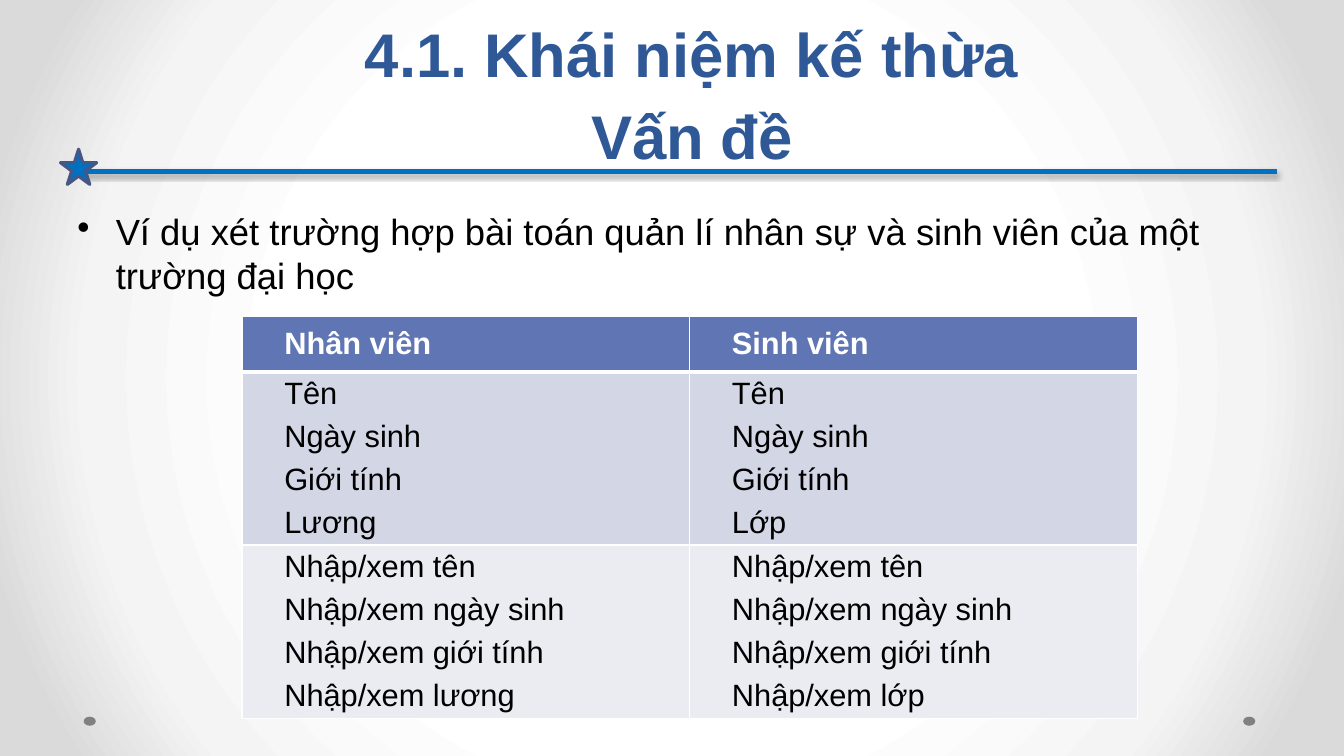
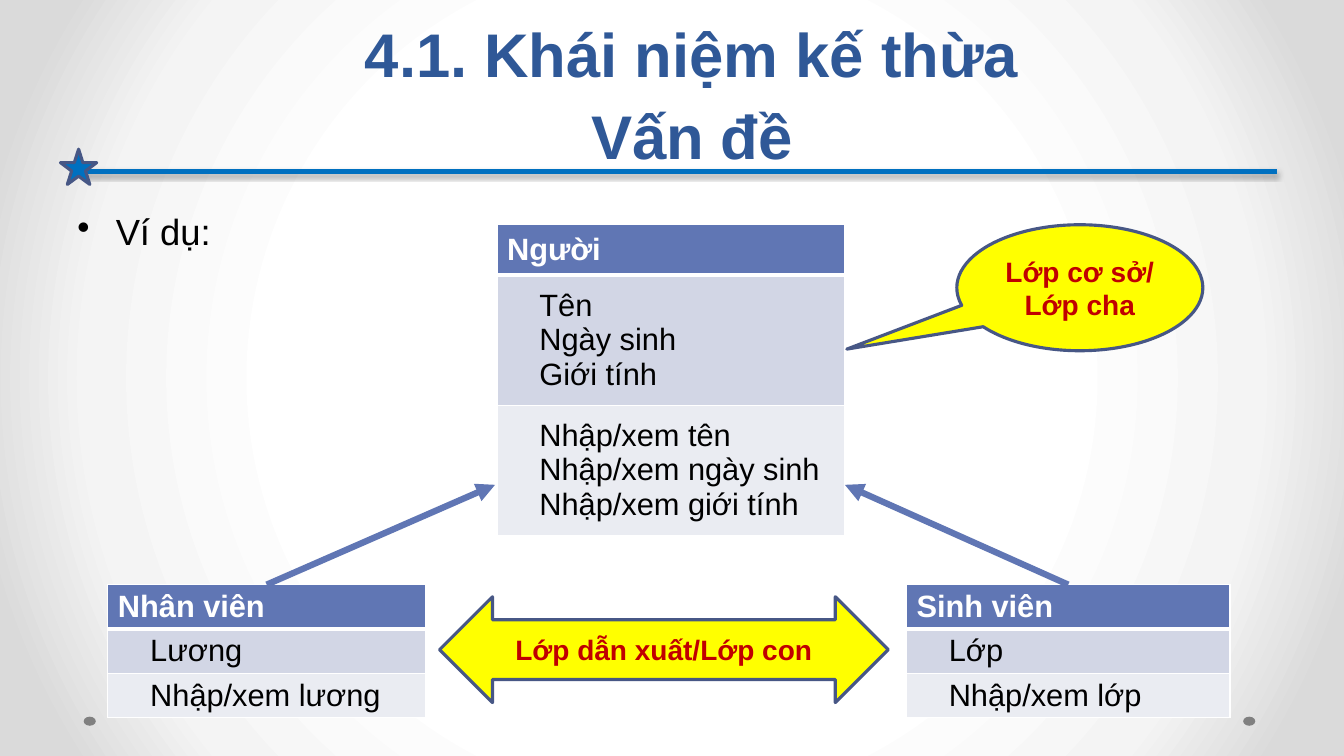
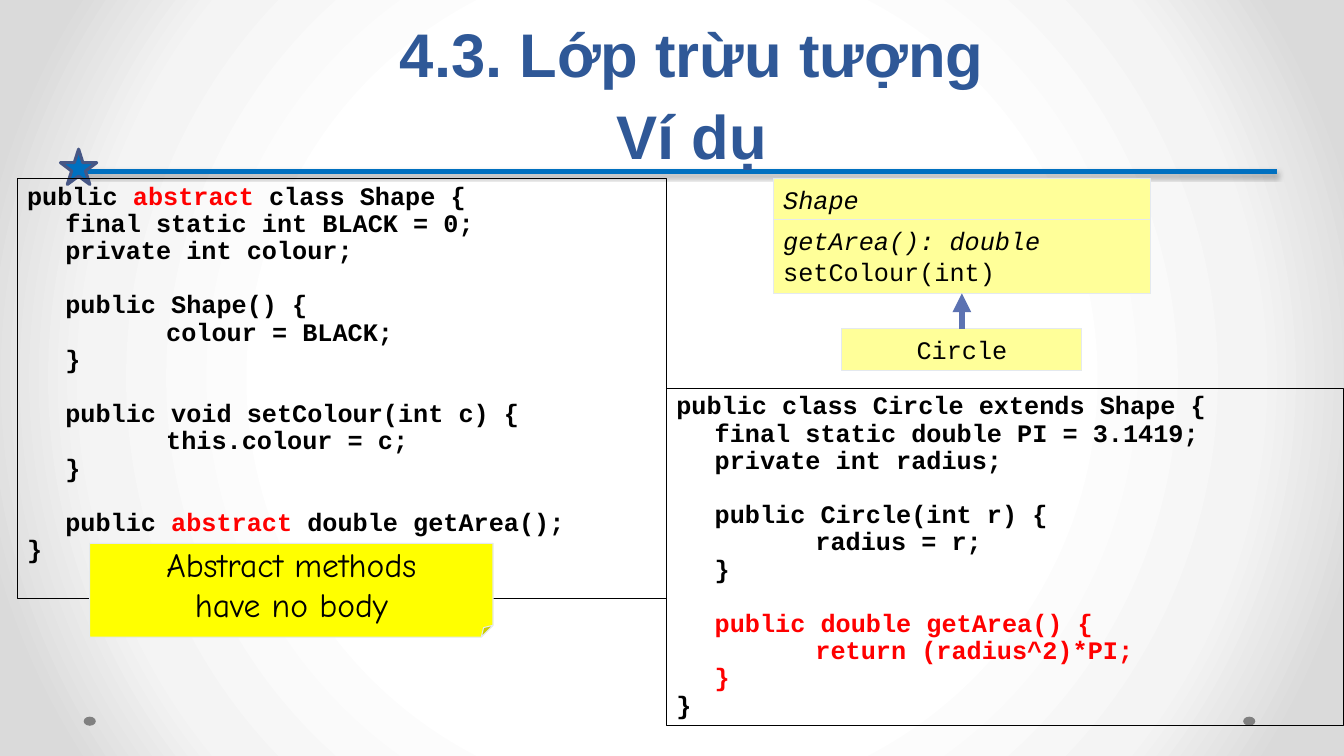
from lxml import etree
from pptx import Presentation
from pptx import util as u
from pptx.dml.color import RGBColor
from pptx.enum import shapes, text
from pptx.oxml import parse_xml
from pptx.oxml.ns import nsdecls, qn

Inches, Pt = u.Inches, u.Pt
Shape, Anchor, Align = shapes.MSO_SHAPE, text.MSO_ANCHOR, text.PP_ALIGN

BLACK, WHITE, RED, DARK_RED = "000000", "FFFFFF", "FF0000", "C00000"
BLUE, NAVY, OUTLINE = "0070C0", "2F5897", "475785"
HEADER, BAND_DARK, BAND_LIGHT = "6076B4", "D2D6E5", "EAECF2"
YELLOW, PALE_YELLOW, PALE_LINE = "FFFF00", "FFFF99", "E4E9EF"
BACKGROUND_STOPS = [(50, WHITE), (76, "F4F4F4"), (92, "DADADA")]

TITLE = {"name": "Arial", "size": Pt(44), "bold": True, "color": NAVY}
BODY = {"name": "Arial", "size": Pt(26), "color": BLACK}
CELL = {"name": "Arial", "size": Pt(22), "bold": False, "color": BLACK}
CELL_HEADER = {**CELL, "bold": True, "color": WHITE}
CALLOUT = {"name": "Arial", "size": Pt(20), "bold": True, "color": DARK_RED}
CODE = {"name": "Courier New", "size": Pt(18), "bold": True, "color": BLACK}
UML = {**CODE, "bold": False}
UML_ABSTRACT = {**UML, "italic": True}
NOTE = {"name": "Comic Neue", "size": Pt(24), "color": BLACK}

CODE_INDENTS = [0, 0.38, 1.38]
CELL_INDENT = 0.32


def rgb(value):
    return RGBColor.from_string(value)


def add_paragraph(frame, runs, font, left=0, hanging=0, **layout):
    """Write one paragraph; a run is a text or a (text, colour) pair."""
    paragraph = frame.paragraphs[0]
    if paragraph.runs:
        paragraph = frame.add_paragraph()
    for name, value in layout.items():
        setattr(paragraph, name, value)
    properties = paragraph._p.get_or_add_pPr()
    properties.set("marL", str(Inches(left)))
    properties.set("indent", str(Inches(-hanging)))
    for item in runs:
        content, color = (item, font["color"]) if isinstance(item, str) else item
        run = paragraph.add_run()
        run.text = content
        for name, value in font.items():
            if name != "color":
                setattr(run.font, name, value)
        run.font.color.rgb = rgb(color)
    return paragraph


def add_text_box(slide, box, anchor=Anchor.TOP):
    frame = slide.shapes.add_textbox(*map(Inches, box)).text_frame
    frame.word_wrap = True
    frame.vertical_anchor = anchor
    return frame


def add_box(slide, kind, box, fill=None, line=None, width=0.75,
            adjustments=(), anchor=Anchor.MIDDLE, wrap=True):
    shape = slide.shapes.add_shape(kind, *map(Inches, box))
    shape.shadow.inherit = False
    for index, value in enumerate(adjustments):
        shape.adjustments[index] = value
    if fill:
        shape.fill.solid()
        shape.fill.fore_color.rgb = rgb(fill)
    else:
        shape.fill.background()
    if line:
        shape.line.color.rgb = rgb(line)
        shape.line.width = Pt(width)
    else:
        shape.line.fill.background()
    shape.text_frame.vertical_anchor = anchor
    shape.text_frame.word_wrap = wrap
    return shape


def set_fold(shape, ratio):
    """Set the fold of a folded corner, which has no public adjustment."""
    values = shape._element.find(".//" + qn("a:avLst"))
    guide = etree.SubElement(values, qn("a:gd"))
    guide.set("name", "adj")
    guide.set("fmla", f"val {round(ratio * 100000)}")


def add_line(slide, start, end, color, width, arrow=False):
    """Draw a straight line and return it with its empty effect list."""
    line = slide.shapes.add_connector(
        shapes.MSO_CONNECTOR.STRAIGHT, *map(Inches, (*start, *end)))
    line.line.color.rgb = rgb(color)
    line.line.width = Pt(width)
    if arrow:
        tail = etree.SubElement(line.line._get_or_add_ln(), qn("a:tailEnd"))
        tail.set("type", "triangle")
    effects = etree.SubElement(line._element.spPr, qn("a:effectLst"))
    return line, effects


def set_background(slide):
    slide.background.fill.solid()
    properties = slide.element.find(".//" + qn("p:bgPr"))
    stops = "".join(
        f'<a:gs pos="{position * 1000}"><a:srgbClr val="{color}"/></a:gs>'
        for position, color in BACKGROUND_STOPS)
    properties.replace(properties[0], parse_xml(
        f'<a:gradFill {nsdecls("a")} rotWithShape="1"><a:gsLst>{stops}</a:gsLst>'
        '<a:path path="circle"><a:fillToRect l="50000" t="50000" r="50000" b="50000"/>'
        '</a:path></a:gradFill>'))


def add_framed_slide(presentation, *title_lines):
    """Add a slide with the shared background, rule, star, dots and title."""
    slide = presentation.slides.add_slide(presentation.slide_layouts[6])
    set_background(slide)
    for left in (12.33, 0.83):
        add_box(slide, Shape.OVAL, (left, 7.11, 0.12, 0.09), "808080")
    rule, effects = add_line(slide, (0.84, 1.7), (12.67, 1.7), BLUE, 4)
    effects.append(parse_xml(
        f'<a:outerShdw {nsdecls("a")} blurRad="{Pt(3.1)}" dist="{Pt(1.8)}" dir="5400000">'
        f'<a:srgbClr val="{BLACK}"><a:alpha val="35000"/></a:srgbClr></a:outerShdw>'))
    add_box(slide, Shape.STAR_5_POINT, (0.6, 1.48, 0.36, 0.35), BLUE, OUTLINE, 2.25)
    title = add_text_box(slide, (1.08, 0.19, 11.57, 1.56), Anchor.BOTTOM)
    for line in title_lines:
        add_paragraph(title, [line], TITLE, alignment=Align.CENTER, line_spacing=Pt(58))
    return slide


def add_bullet(slide, content):
    frame = add_text_box(slide, (0.67, 2.03, 12, 5.06))
    paragraph = add_paragraph(frame, [content], BODY, 0.38, 0.38, space_before=Pt(5.2))
    bullet = etree.SubElement(paragraph._p.get_or_add_pPr(), qn("a:buChar"))
    bullet.set("char", "•")


def set_borders(cell, row):
    properties = cell._tc.get_or_add_tcPr()
    thick_side = {0: "lnB", 1: "lnT"}.get(row)
    for side in ("lnL", "lnR", "lnT", "lnB"):
        width = Pt(3 if side == thick_side else 1)
        properties.append(parse_xml(
            f'<a:{side} {nsdecls("a")} w="{width}"><a:solidFill>'
            f'<a:srgbClr val="{WHITE}"/></a:solidFill></a:{side}>'))


def add_class_table(slide, corner, column_width, heights, rows, header_indent=0, gap=6):
    """Each row is a list of cells, each cell a list of lines."""
    columns = len(rows[0])
    size = (column_width * columns, sum(heights))
    frame = slide.shapes.add_table(len(rows), columns, *map(Inches, (*corner, *size)))
    table = frame.table
    table.horz_banding = False
    for column in table.columns:
        column.width = Inches(column_width)
    for row, (cells, height) in enumerate(zip(rows, heights)):
        table.rows[row].height = Inches(height)
        for column, lines in enumerate(cells):
            cell = table.cell(row, column)
            set_borders(cell, row)
            cell.fill.solid()
            cell.fill.fore_color.rgb = rgb((HEADER, BAND_DARK, BAND_LIGHT)[row])
            cell.vertical_anchor = Anchor.MIDDLE
            cell.margin_top = cell.margin_bottom = 0
            for line in lines:
                add_paragraph(
                    cell.text_frame, [line], CELL if row else CELL_HEADER,
                    CELL_INDENT if row else header_indent,
                    space_before=Pt(gap if row else 6))
    return frame


def add_code(slide, box, blocks):
    """Blocks of (level, run, ...) lines, with one line's height between blocks."""
    shape = add_box(slide, Shape.RECTANGLE, box, line=BLACK, anchor=Anchor.TOP)
    for block_index, block in enumerate(blocks):
        for line_index, (level, *runs) in enumerate(block):
            starts_block = block_index > 0 and line_index == 0
            add_paragraph(
                shape.text_frame, runs, CODE, CODE_INDENTS[level],
                alignment=Align.LEFT, line_spacing=0.9,
                space_before=Pt(19.4 if starts_block else 0))


def add_label(slide, kind, box, lines, fill, line, width=0.75,
              alignment=Align.CENTER, **options):
    """Add a filled shape whose lines are (text, font) pairs."""
    shape = add_box(slide, kind, box, fill, line, width, **options)
    for content, font in lines:
        add_paragraph(shape.text_frame, [content], font, alignment=alignment)
    return shape


def build_problem_slide(presentation):
    slide = add_framed_slide(presentation, "4.1. Khái niệm kế thừa", "Vấn đề")
    add_bullet(slide, "Ví dụ xét trường hợp bài toán quản lí nhân sự và sinh viên "
                      "của một trường đại học")
    fields = ["Tên", "Ngày sinh", "Giới tính"]
    methods = ["Nhập/xem tên", "Nhập/xem ngày sinh", "Nhập/xem giới tính"]
    add_class_table(slide, (2.4, 3.14), 4.44, [0.55, 1.71, 1.71], [
        [["Nhân viên"], ["Sinh viên"]],
        [fields + ["Lương"], fields + ["Lớp"]],
        [methods + ["Nhập/xem lương"], methods + ["Nhập/xem lớp"]],
    ], header_indent=CELL_INDENT)


def build_hierarchy_slide(presentation):
    slide = add_framed_slide(presentation, "4.1. Khái niệm kế thừa", "Vấn đề")
    add_bullet(slide, "Ví dụ:")
    add_class_table(slide, (4.93, 2.23), 3.45, [0.5, 1.29, 1.29], [
        [["Người"]],
        [["Tên", "Ngày sinh", "Giới tính"]],
        [["Nhập/xem tên", "Nhập/xem ngày sinh", "Nhập/xem giới tính"]],
    ], gap=0)
    subclasses = [
        ("Sinh viên", "Lớp", "Nhập/xem lớp", 8.99, 3.21, 8.38),
        ("Nhân viên", "Lương", "Nhập/xem lương", 1.07, 3.15, 4.91),
    ]
    for name, field, method, left, width, arrow_end in subclasses:
        table = add_class_table(slide, (left, 5.8), width, [0.44] * 3,
                                [[[name]], [[field]], [[method]]])
        arrow, _ = add_line(slide, (left + width / 2, 5.8), (arrow_end, 4.81),
                            HEADER, 4.5, arrow=True)
        arrow.begin_connect(table, 0)
    add_label(slide, Shape.OVAL_CALLOUT, (9.49, 2.23, 2.44, 1.25),
              [("Lớp cơ sở/ Lớp cha", CALLOUT)], YELLOW, OUTLINE, 2.25,
              adjustments=(-0.947, 0.487))
    add_label(slide, Shape.LEFT_RIGHT_ARROW, (4.36, 5.92, 4.45, 1.05),
              [("Lớp dẫn xuất/Lớp con", CALLOUT)], YELLOW, OUTLINE, 2.25,
              adjustments=(0.565, 0.5))


def build_abstract_class_slide(presentation):
    slide = add_framed_slide(presentation, "4.3. Lớp trừu tượng", "Ví dụ")
    abstract = ("abstract", RED)
    add_code(slide, (0.17, 1.77, 6.44, 4.17), [
        [(0, "public ", abstract, " class Shape {"),
         (1, "final static int BLACK = 0;"),
         (1, "private int colour;")],
        [(1, "public Shape() {"), (2, "colour = BLACK;"), (1, "}")],
        [(1, "public void setColour(int c) {"), (2, "this.colour = c;"), (1, "}")],
        [(1, "public ", abstract, " double getArea();"), (0, "}")],
    ])
    add_code(slide, (6.61, 3.85, 6.72, 3.35), [
        [(0, "public class Circle extends Shape {"),
         (1, "final static double PI = 3.1419;"),
         (1, "private int radius;")],
        [(1, "public Circle(int r) {"), (2, "radius = r;"), (1, "}")],
        [(1, ("public double getArea() {", RED)),
         (2, ("return (radius^2)*PI;", RED)),
         (1, ("}", RED)),
         (0, "}")],
    ])
    methods = add_label(
        slide, Shape.RECTANGLE, (7.67, 2.17, 3.74, 0.74),
        [("getArea(): double", UML_ABSTRACT), ("setColour(int)", UML)],
        PALE_YELLOW, PALE_LINE, alignment=Align.LEFT, wrap=False)
    add_label(slide, Shape.RECTANGLE, (7.67, 1.77, 3.74, 0.41),
              [("Shape", UML_ABSTRACT)],
              PALE_YELLOW, PALE_LINE, alignment=Align.LEFT, wrap=False)
    circle = add_label(slide, Shape.RECTANGLE, (8.35, 3.26, 2.38, 0.42),
                       [("Circle", UML)], PALE_YELLOW, PALE_LINE, wrap=False)
    note = add_label(slide, Shape.FOLDED_CORNER, (0.89, 5.39, 4, 0.93),
                     [("Abstract methods", NOTE), ("have no body", NOTE)],
                     YELLOW, PALE_LINE, wrap=False)
    set_fold(note, 0.125)
    arrow, _ = add_line(slide, (9.54, 3.26), (9.54, 2.91), "5C72B2", 4.5, arrow=True)
    arrow.begin_connect(circle, 0)
    arrow.end_connect(methods, 2)


def main():
    presentation = Presentation()
    presentation.slide_width = Inches(13.33)
    presentation.slide_height = Inches(7.5)
    build_problem_slide(presentation)
    build_hierarchy_slide(presentation)
    build_abstract_class_slide(presentation)
    presentation.save("out.pptx")


if __name__ == "__main__":
    main()
